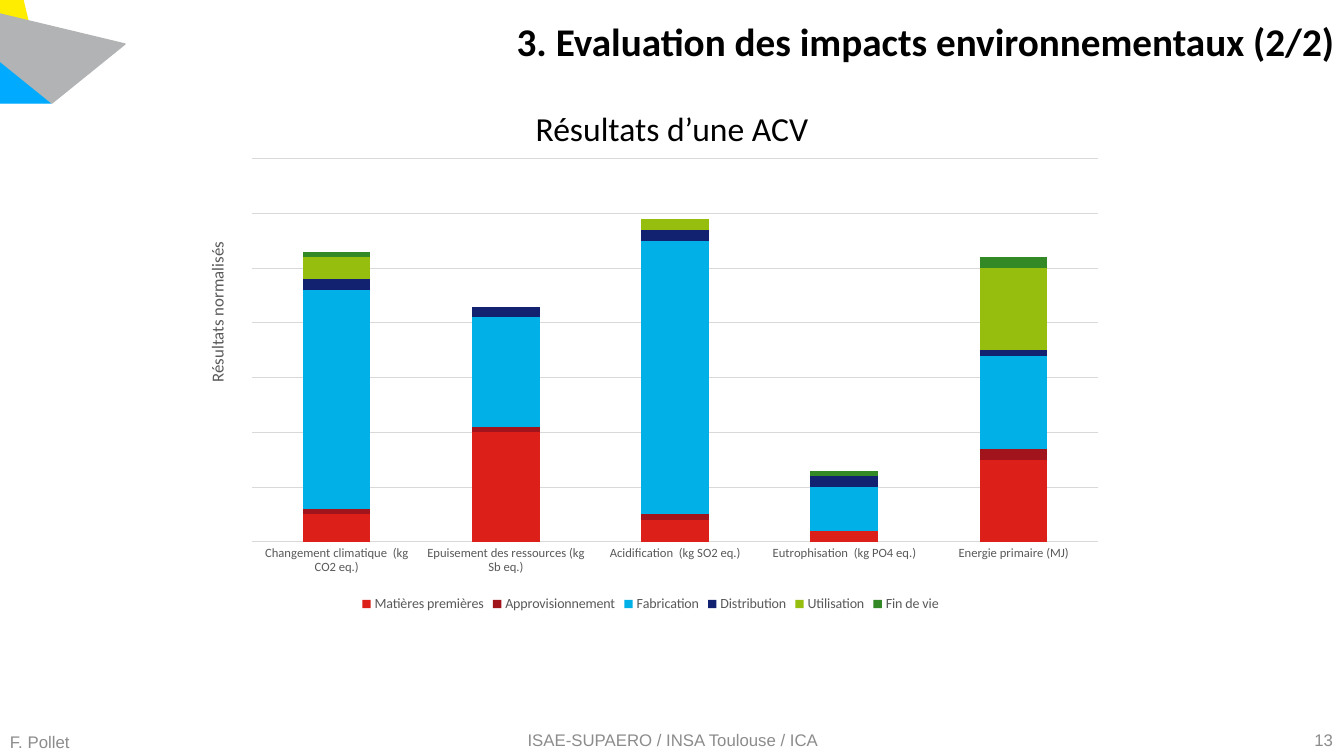
from lxml import etree
from pptx import Presentation
from pptx.chart.data import CategoryChartData
from pptx.dml.color import RGBColor
from pptx.enum.chart import XL_CHART_TYPE, XL_LEGEND_POSITION, XL_TICK_MARK
from pptx.enum.text import MSO_ANCHOR, PP_ALIGN
from pptx.oxml.ns import qn
from pptx.util import Pt

STACKED = XL_CHART_TYPE.COLUMN_STACKED
BOTTOM = XL_LEGEND_POSITION.BOTTOM
NO_TICK = XL_TICK_MARK.NONE
LEFT, MID, RIGHT = PP_ALIGN.LEFT, PP_ALIGN.CENTER, PP_ALIGN.RIGHT
TOP, CENTRE = MSO_ANCHOR.TOP, MSO_ANCHOR.MIDDLE

# Content
COLORS = {
    "black": "000000", "label": "595959", "foot": "8C8C8C", "grid": "D9D9D9",
    "yellow": "FFED00", "blue": "00ABFF", "gray": "B1B3B4",
    "raw": "DD1F19", "supply": "A1141B", "make": "00B0E6",
    "ship": "122271", "use": "96BE0F", "end": "328926",
}
TITLE = "3. Evaluation des impacts environnementaux (2/2)"
HEADING = "Résultats d’une ACV"
AXIS = "Résultats normalisés"
CATS = [
    "Changement climatique  (kg CO2 eq.)",
    "Epuisement des ressources (kg Sb eq.)",
    "Acidification  (kg SO2 eq.)",
    "Eutrophisation  (kg PO4 eq.)",
    "Energie primaire (MJ)",
]
SERIES = [
    ("Matières premières", "raw", (10, 40, 8, 4, 30)),
    ("Approvisionnement", "supply", (2, 2, 2, 0, 4)),
    ("Fabrication", "make", (80, 40, 100, 16, 34)),
    ("Distribution", "ship", (4, 4, 4, 4, 2)),
    ("Utilisation", "use", (8, 0, 4, 0, 30)),
    ("Fin de vie", "end", (2, 0, 0, 2, 4)),
]
FOOTER = [
    ("F. Pollet", (0, 727, 302, 29), LEFT),
    ("ISAE-SUPAERO / INSA Toulouse / ICA", (446, 727, 454, 26), MID),
    ("13", (1041, 727, 302, 26), RIGHT),
]
CORNER = [
    ("yellow", [(0, 0), (1, 15), (28, 21), (23, 0)]),
    ("blue", [(1, 59), (0, 103), (51, 103)]),
    ("gray", [(0, 14), (0, 61), (52, 103), (125, 44)]),
]
FRAME = (185, 150, 931, 466)
PLOT = (252, 159, 846, 383)
LABEL = (203, 239)
SCALE = 914400 / 100.8


def emu(*nums):
    return [round(n * SCALE) for n in nums]


def rgb(name):
    return RGBColor.from_string(COLORS[name])


def style(font, size, color, face="Calibri", bold=False):
    font.name, font.size, font.bold = face, Pt(size), bold
    font.color.rgb = rgb(color)


def write(shape, text, size=12, color="black", face="Calibri", bold=False,
          align=LEFT, anchor=CENTRE, lead=None):
    frame = shape.text_frame
    frame.word_wrap = True
    frame.vertical_anchor = anchor
    para = frame.paragraphs[0]
    para.alignment = align
    if lead:
        para.line_spacing = lead
    run = para.add_run()
    run.text = text
    style(run.font, size, color, face, bold)


def place(node, **parts):
    """Give a chart part a fixed place, in shares of the chart frame."""
    layout = node.find(qn("c:layout"))
    if layout is None:
        layout = etree.Element(qn("c:layout"))
        node.insert(0, layout)
    manual = etree.SubElement(layout, qn("c:manualLayout"))
    for tag, val in parts.items():
        etree.SubElement(manual, qn("c:" + tag)).set("val", str(val))


def share(x, y):
    return round(x / FRAME[2], 3), round(y / FRAME[3], 3)


prs = Presentation()
prs.slide_width, prs.slide_height = emu(1344, 756)
slide = prs.slides.add_slide(prs.slide_layouts[5])
shapes = slide.shapes

# Corner shapes
for color, points in CORNER:
    pen = shapes.build_freeform(*points[0], scale=SCALE)
    pen.add_line_segments(points[1:], close=True)
    patch = pen.convert_to_shape()
    patch.shadow.inherit = False
    patch.fill.solid()
    patch.fill.fore_color.rgb = rgb(color)
    patch.line.color.rgb = rgb(color)
    patch.line.width = Pt(1)

# Title
title = shapes.title
title.left, title.top, title.width, title.height = emu(72, 0, 1272, 88)
write(title, TITLE, size=28, bold=True, align=RIGHT, lead=0.9)

# Chart
data = CategoryChartData()
data.categories = CATS
for name, _, vals in SERIES:
    data.add_series(name, vals)
chart = shapes.add_chart(STACKED, *emu(*FRAME), data).chart
chart.has_title = False
style(chart.font, 10, "black")
bars = chart.plots[0]
bars.gap_width, bars.overlap = 150, 100
bars.vary_by_categories = False
for part, (_, color, _) in zip(bars.series, SERIES):
    part.format.fill.solid()
    part.format.fill.fore_color.rgb = rgb(color)

cat = chart.category_axis
cat.major_tick_mark = cat.minor_tick_mark = NO_TICK
style(cat.tick_labels.font, 9, "label")
val = chart.value_axis
val.minimum_scale, val.maximum_scale, val.major_unit = 0, 140, 20
val.has_major_gridlines = True
for line in (cat.format.line, val.major_gridlines.format.line):
    line.color.rgb = rgb("grid")
    line.width = Pt(0.75)
val.visible = False

# Axis title, turned to read upwards
head = val.axis_title
frame = head.text_frame
frame.text = AXIS
style(frame.paragraphs[0].runs[0].font, 12, "label")
turn = head._element.find(".//" + qn("a:bodyPr"))
turn.set("rot", "-5400000")
turn.set("vert", "horz")

chart.has_legend = True
chart.legend.position = BOTTOM
chart.legend.include_in_layout = False
style(chart.legend.font, 10, "label")

x, y = share(LABEL[0] - FRAME[0], LABEL[1] - FRAME[1])
place(head._element, xMode="edge", yMode="edge", x=x, y=y)
x, y = share(PLOT[0] - FRAME[0], PLOT[1] - FRAME[1])
w, h = share(*PLOT[2:])
place(chart._chartSpace.chart.plotArea, layoutTarget="inner",
      xMode="edge", yMode="edge", x=x, y=y, w=w, h=h)

# Heading and footer
write(shapes.add_textbox(*emu(323, 103, 698, 50)), HEADING, size=24,
      align=MID, anchor=TOP)
for text, box, align in FOOTER:
    write(shapes.add_textbox(*emu(*box)), text, color="foot", face="Arial",
          align=align)

prs.save("out.pptx")
